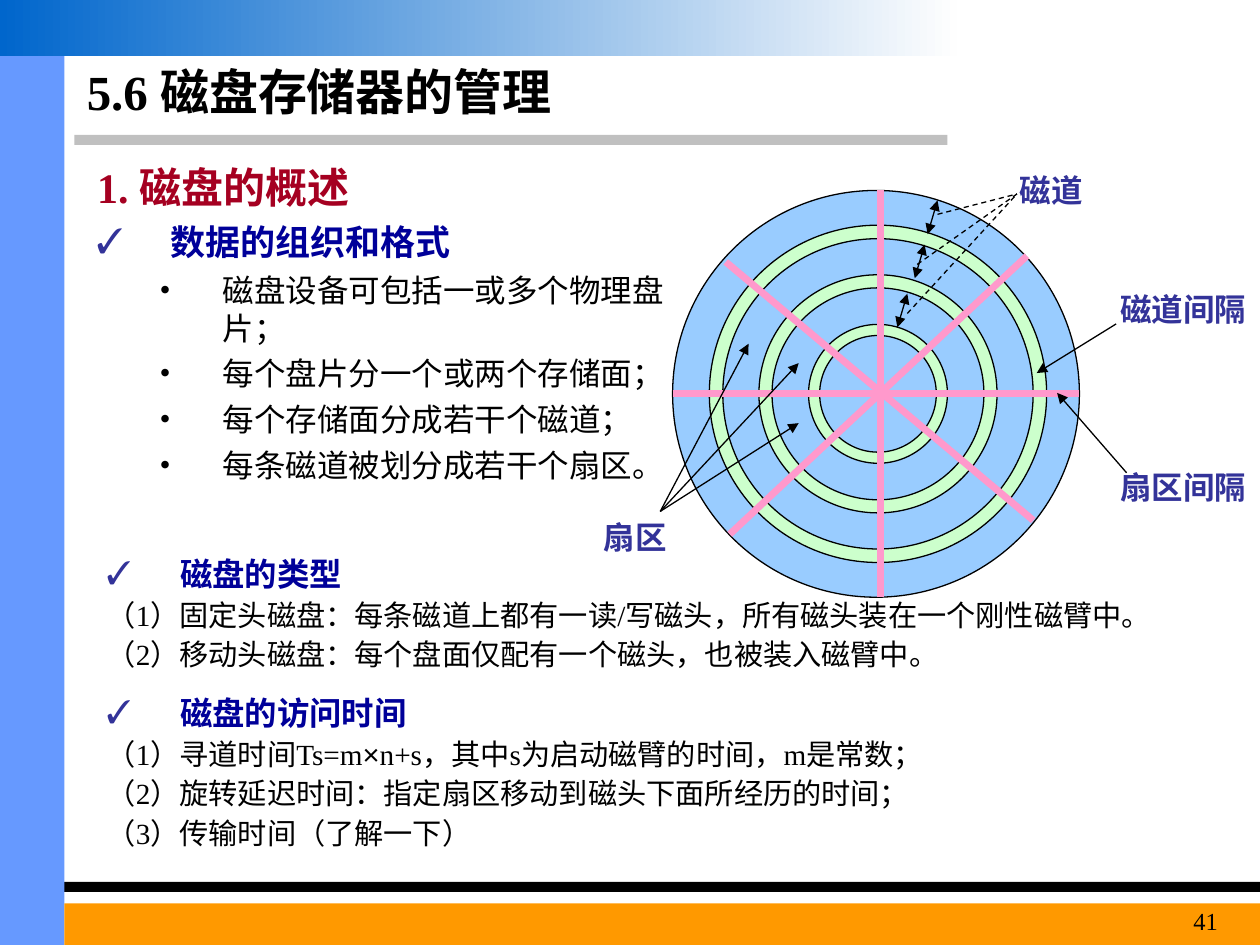
from lxml.etree import SubElement
from pptx import Presentation
from pptx.dml.color import RGBColor
from pptx.enum.dml import MSO_LINE_DASH_STYLE as DASH
from pptx.enum.shapes import MSO_CONNECTOR, MSO_SHAPE as SHAPE
from pptx.enum.text import MSO_ANCHOR as ANCHOR, PP_ALIGN as ALIGN
from pptx.oxml.ns import qn
from pptx.util import Cm, Pt

COLORS = {
    "black": "000000", "rule": "C0C0C0", "side": "6699FF", "foot": "FF9900",
    "sky": "0066CC", "fade": "FEFEFE", "heading": "A50021", "topic": "000099",
    "label": "333399", "platter": "99CCFF", "gap": "CCFFCC", "spoke": "FF99CC",
}
SERIF = "Times New Roman"


def rgb(name):
    return RGBColor.from_string(COLORS[name])


def add_filled(slide, kind, box, color, outline=False):
    shape = slide.shapes.add_shape(kind, *map(Cm, box))
    shape.shadow.inherit = False
    shape.fill.solid()
    shape.fill.fore_color.rgb = rgb(color)
    if outline:
        shape.line.color.rgb = rgb("black")
        shape.line.width = Pt(0.75)
    else:
        shape.line.fill.background()
    return shape


def add_line(slide, start, end, color="black", width=0.75, heads=(), dash=False):
    line = slide.shapes.add_connector(MSO_CONNECTOR.STRAIGHT, *map(Cm, (*start, *end)))
    line.line.color.rgb = rgb(color)
    line.line.width = Pt(width)
    if dash:
        line.line.dash_style = DASH.DASH
    properties = line.line._get_or_add_ln()
    for head in heads:
        SubElement(properties, qn(f"a:{head}"), type="triangle")
    SubElement(line._element.spPr, qn("a:effectLst"))


def add_frame(slide, box, wrap=True):
    frame = slide.shapes.add_textbox(*map(Cm, box)).text_frame
    frame.word_wrap = wrap
    return frame


def add_run(paragraph, text, size, color="black", bold=False, font=SERIF):
    run = paragraph.add_run()
    run.text = text
    run.font.name, run.font.size, run.font.bold = font, Pt(size), bold
    run.font.color.rgb = rgb(color)


def add_caption(slide, box, text, size, color="black", bold=True, align=ALIGN.LEFT,
                anchor=ANCHOR.TOP, wrap=True):
    frame = add_frame(slide, box, wrap)
    frame.vertical_anchor = anchor
    frame.paragraphs[0].alignment = align
    add_run(frame.paragraphs[0], text, size, color, bold)


def set_indent(paragraph, margin, hang, bullet=None, color="black"):
    properties = paragraph._p.get_or_add_pPr()
    properties.set("marL", str(Cm(margin)))
    properties.set("indent", str(-Cm(hang)))
    if bullet:
        bullet_color = SubElement(properties, qn("a:buClr"))
        SubElement(bullet_color, qn("a:srgbClr"), val=COLORS[color])
        SubElement(properties, qn("a:buFont"), typeface=SERIF)
        SubElement(properties, qn("a:buChar"), char=bullet)


def add_topic(slide, box, topic, items, topic_size, item_size, bulleted=False):
    """A ticked topic line with its items, each item a list of (text, font)."""
    frame = add_frame(slide, box)
    heading = frame.paragraphs[0]
    spacing = 1.0 if bulleted else 0.9
    heading.space_before, heading.line_spacing = Pt(5), spacing
    set_indent(heading, 1.48, 1.48, "✓", "label")
    add_run(heading, topic, topic_size, "topic", True)
    for item in items:
        paragraph = frame.add_paragraph()
        paragraph.space_before, paragraph.line_spacing = Pt(4.5), spacing
        if bulleted:
            paragraph.level = 1
            set_indent(paragraph, 2.54, 1.27, "•")
        else:
            set_indent(paragraph, 1.48, 1.48)
        for text, font in item:
            add_run(paragraph, text, item_size, font=font)


def add_backdrop(slide, box):
    left, top, width, height = box
    side, banner = 1.3, 1.13
    bars = [
        ((1.5, 2.72, 17.6, 0.2), "rule"),
        ((0, 17.78, width, 0.2), "black"),
        ((0, banner, side, height - banner), "side"),
        ((side, 18.21, width - side, height - 18.21), "foot"),
    ]
    for (x, y, w, h), color in bars:
        add_filled(slide, SHAPE.RECTANGLE, (left + x, top + y, w, h), color)
    # Banner fading to the right
    fill = add_filled(slide, SHAPE.RECTANGLE, (left, top, 19.3, banner), "sky").fill
    fill.gradient()
    fill.gradient_angle = 0
    for stop, color in zip(fill.gradient_stops, ("sky", "fade")):
        stop.color.rgb = rgb(color)


def add_disk(slide, box):
    left, top, size, _ = box

    def at(x, y):
        return left + x, top + y

    # Platter and the gaps between tracks
    add_filled(slide, SHAPE.OVAL, box, "platter", True)
    for ring, band in ((6.8, 0.04), (4.8, 0.055), (2.8, 0.08)):
        inset = (size - ring) / 2
        donut = add_filled(slide, SHAPE.DONUT, (*at(inset + 0.04, inset), ring, ring),
                           "gap", True)
        donut.adjustments[0] = band

    # Gaps between sectors
    for start, end in (((0, 4.09), (size, 4.09)), ((1.07, 1.44), (7.27, 6.65)),
                       ((4.19, size), (4.19, 0)), ((1.15, 6.93), (7.14, 1.32))):
        add_line(slide, at(*start), at(*end), "spoke", 4)

    # Labels
    for text, x, y, width in (("扇区", -1.85, 6.47, 2.2), ("磁道", 6.53, -0.51, 2.2),
                              ("磁道间隔", 8.74, 1.88, 3.1), ("扇区间隔", 8.74, 5.48, 3.1)):
        add_caption(slide, (*at(x, y), width, 1.02), text, 18, "label",
                    align=ALIGN.CENTER, wrap=False)

    # Pointers from the labels
    sector = (-0.25, 6.47)
    for start, end in (((9.15, 5.69), (7.75, 4.08)), ((8.94, 2.69), (7.34, 3.68)),
                       (sector, (1.53, 3.09)), (sector, (2.54, 3.48)),
                       (sector, (2.54, 4.69))):
        add_line(slide, at(*start), at(*end), heads=["tailEnd"])

    # Track widths, each tied to the track label
    for (x, y), tie in (((5.34, 0.2), (5.34, 0.48)), ((5.08, 1.09), (4.93, 1.49)),
                        ((4.73, 2.08), (4.73, 2.48))):
        add_line(slide, at(x, y), at(x - 0.2, y + 0.68), heads=["headEnd", "tailEnd"])
        add_line(slide, at(*tie), at(6.94, 0.07), dash=True)


def main():
    prs = Presentation()
    prs.slide_width, prs.slide_height = Cm(25.4), Cm(19.05)
    slide = prs.slides.add_slide(prs.slide_layouts[6])

    add_backdrop(slide, (0, 0, 25.4, 19.05))
    add_caption(slide, (1.5, 1.13, 17.4, 1.4), "5.6 磁盘存储器的管理", 28,
                anchor=ANCHOR.MIDDLE)
    # Narrow enough for the first item to wrap before the disk
    add_topic(slide, (1.7, 4.33, 12.2, 6.4), "数据的组织和格式", [
        [("磁盘设备可包括一或多个物理盘片；", SERIF)],
        [("每个盘片分一个或两个存储面；", SERIF)],
        [("每个存储面分成若干个磁道；", SERIF)],
        [("每条磁道被划分成若干个扇区。", SERIF)],
    ], 20, 18, bulleted=True)
    add_topic(slide, (1.9, 11.13, 23.3, 2.8), "磁盘的类型", [
        [("（1）固定头磁盘：每条磁道上都有一读/写磁头，所有磁头装在一个刚性磁臂中。", SERIF)],
        [("（2）移动头磁盘：每个盘面仅配有一个磁头，也被装入磁臂中。", SERIF)],
    ], 18.5, 16.7)
    add_caption(slide, (1.5, 3.13, 22.6, 1.27), " 1. 磁盘的概述", 24, "heading")
    add_topic(slide, (1.9, 13.93, 23, 3.8), "磁盘的访问时间", [
        [("（1）寻道时间Ts=m", SERIF), ("×", "Arial"),
         ("n+s，其中s为启动磁臂的时间，m是常数；", SERIF)],
        [("（2）旋转延迟时间：指定扇区移动到磁头下面所经历的时间；", SERIF)],
        [("（3）传输时间（了解一下）", SERIF)],
    ], 18.5, 16.7)
    add_disk(slide, (13.56, 3.84, 8.2, 8.2))
    add_caption(slide, (22.5, 18.14, 2.3, 0.91), "41", 14, bold=False, align=ALIGN.RIGHT)

    prs.save("out.pptx")


if __name__ == "__main__":
    main()
